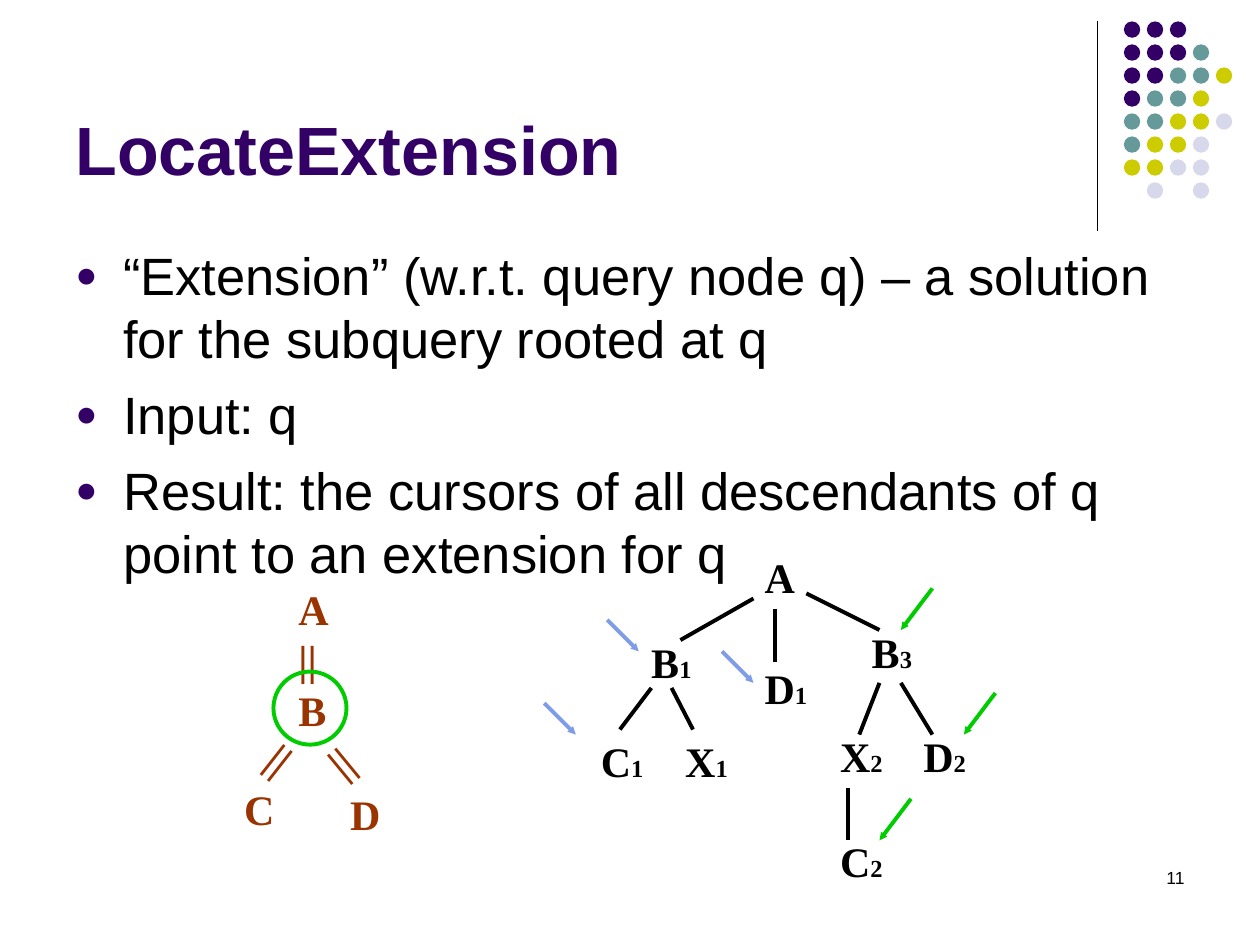
from lxml import etree
from pptx import Presentation
from pptx.dml.color import RGBColor
from pptx.enum.shapes import MSO_CONNECTOR, MSO_SHAPE
from pptx.enum.text import MSO_ANCHOR, MSO_AUTO_SIZE, PP_ALIGN
from pptx.oxml.ns import qn
from pptx.util import Inches, Pt

STRAIGHT, OVAL = MSO_CONNECTOR.STRAIGHT, MSO_SHAPE.OVAL
BOTTOM, LEFT, RIGHT = MSO_ANCHOR.BOTTOM, PP_ALIGN.LEFT, PP_ALIGN.RIGHT
NO_FIT, GROW = MSO_AUTO_SIZE.NONE, MSO_AUTO_SIZE.SHAPE_TO_FIT_TEXT
COLORS = {"purple": "330066", "teal": "669999", "olive": "CCCC00", "lilac": "D8D8EC",
          "black": "000000", "brown": "993300", "blue": "7E9CE8", "green": "00CC00"}
RGB = {name: RGBColor.from_string(value) for name, value in COLORS.items()}

deck = Presentation()
deck.slide_width, deck.slide_height = Inches(10), Inches(7.5)
page = deck.slides.add_slide(deck.slide_layouts[5])


def add_line(start, end, color="black", width=2.25, arrow=False):
    line = page.shapes.add_connector(STRAIGHT, *map(Inches, start + end))
    line.line.color.rgb = RGB[color]
    line.line.width = Pt(width)
    if arrow:
        etree.SubElement(line.line._get_or_add_ln(), qn("a:tailEnd"),
                         type="triangle", w="sm", len="sm")
    etree.SubElement(line._element.spPr, qn("a:effectLst"))


def add_label(left, top, width, lines, color, height=0.5, rotation=0):
    """Each line is a letter or mark with an optional small index."""
    box = page.shapes.add_textbox(*map(Inches, (left, top, width, height)))
    box.rotation = rotation
    frame = box.text_frame
    frame.word_wrap = False
    frame.auto_size = GROW
    for number, (letter, index) in enumerate(lines):
        para = frame.paragraphs[0] if number == 0 else frame.add_paragraph()
        para.font.name, para.font.bold = "Times New Roman", True
        para.font.size, para.font.color.rgb = Pt(24), RGB[color]
        para.add_run().text = letter
        if index:
            span = para.add_run()
            span.text = index
            span.font.size = Pt(14)


# Corner ornament: a rule and a grid of dots
add_line((8.71, 0.17), (8.71, 1.83), width=0.75)
DOT_ROWS = ["PPP", "PPPT", "PPTTO", "PTTO", "TTOOL", "TOOL", "OOLL", " L L"]
DOT_COLORS = {"P": "purple", "T": "teal", "O": "olive", "L": "lilac"}
DOT_PITCH = 0.73 / 4
for row, codes in enumerate(DOT_ROWS):
    for column, code in enumerate(codes):
        if code == " ":
            continue
        dot = page.shapes.add_shape(OVAL, Inches(8.92 + column * DOT_PITCH),
                                    Inches(0.17 + row * DOT_PITCH), Inches(0.13), Inches(0.13))
        dot.shadow.inherit = False
        dot.fill.solid()
        dot.fill.fore_color.rgb = RGB[DOT_COLORS[code]]
        dot.line.fill.background()

# Title
title = page.shapes.title
title.left, title.top, title.width, title.height = map(Inches, (0.5, 0.13, 8.25, 1.42))
title.text_frame.text = "LocateExtension"
title.text_frame.vertical_anchor = BOTTOM
title.text_frame.auto_size = NO_FIT
para = title.text_frame.paragraphs[0]
para.alignment = LEFT
para.font.name, para.font.size, para.font.bold = "Arial", Pt(39), True
para.font.color.rgb = RGB["purple"]

# Bulleted text
body = page.shapes.add_textbox(Inches(0.5), Inches(1.88), Inches(9), Inches(2.85))
body.text_frame.word_wrap = True
body.text_frame.text = "\n".join([
    "“Extension” (w.r.t. query node q) – a solution for the subquery rooted at q",
    "Input: q",
    "Result: the cursors of all descendants of q point to an extension for q",
])
for para in body.text_frame.paragraphs:
    para.font.name, para.font.size = "Arial", Pt(30)
    para.font.color.rgb = RGB["black"]
    para.space_before = Pt(7.5)
    props = para._p.get_or_add_pPr()
    props.set("marL", str(Inches(0.38)))
    props.set("indent", str(-Inches(0.38)))
    bullet_color = etree.SubElement(props, qn("a:buClr"))
    etree.SubElement(bullet_color, qn("a:srgbClr"), val=COLORS["purple"])
    etree.SubElement(props, qn("a:buSzPct"), val="70000")
    etree.SubElement(props, qn("a:buFont"), typeface="Arial")
    etree.SubElement(props, qn("a:buChar"), char="●")

# Query tree; the slanted boxes are wide enough to keep both strokes on one line
add_label(2.27, 4.58, 0.44, [("A", ""), ("||", ""), ("B", "")], "brown", height=1.3)
for left, rotation in [(2.05, 38.1), (2.52, 320.4)]:
    add_label(left, 5.78, 0.38, [("||", "")], "brown", rotation=rotation)
for letter, left, top in [("C", 1.84, 6.17), ("D", 2.68, 6.21)]:
    add_label(left, top, 0.44, [(letter, "")], "brown")

# Data tree: nodes, then edges
for letter, index, left, top, width in [
    ("A", "", 5.97, 4.33, 0.44), ("B", "1", 5.07, 5, 0.52), ("B", "3", 6.82, 4.92, 0.52),
    ("D", "1", 5.97, 5.21, 0.54), ("C", "1", 4.67, 5.79, 0.54), ("X", "1", 5.34, 5.79, 0.54),
    ("X", "2", 6.57, 5.75, 0.54), ("D", "2", 7.23, 5.75, 0.54), ("C", "2", 6.57, 6.58, 0.54),
]:
    add_label(left, top, width, [(letter, index)], "black")
for start, end in [
    ((5.98, 4.75), (5.4, 5.08)), ((6.4, 4.71), (6.98, 5)), ((6.15, 4.83), (6.15, 5.25)),
    ((5.17, 5.46), (4.92, 5.79)), ((5.33, 5.46), (5.5, 5.79)),
    ((6.98, 5.42), (6.82, 5.83)), ((7.15, 5.42), (7.4, 5.83)), ((6.73, 6.25), (6.73, 6.67)),
]:
    add_line(start, end)

# Cursor arrows, placed by their tips
for color, run, rise, tips in [
    ("blue", 0.25, 0.25, [(5.07, 5.17), (4.57, 5.83), (5.98, 5.42)]),
    ("green", -0.25, 0.33, [(7.15, 5), (6.98, 6.67), (7.65, 5.83)]),
]:
    for x, y in tips:
        add_line((x - run, y - rise), (x, y), color, arrow=True)

# Ring around the query node
ring = page.shapes.add_shape(OVAL, Inches(2.17), Inches(5.33), Inches(0.58), Inches(0.58))
ring.shadow.inherit = False
ring.fill.background()
ring.line.color.rgb = RGB["green"]
ring.line.width = Pt(2.25)

# Page number
number_box = page.shapes.add_textbox(Inches(7.17), Inches(6.83), Inches(2.33), Inches(0.5))
number_box.text_frame.word_wrap = True
number_box.text_frame.text = "11"
para = number_box.text_frame.paragraphs[0]
para.alignment = RIGHT
para.font.name, para.font.size = "Arial", Pt(10)
para.font.color.rgb = RGB["black"]

deck.save("out.pptx")
